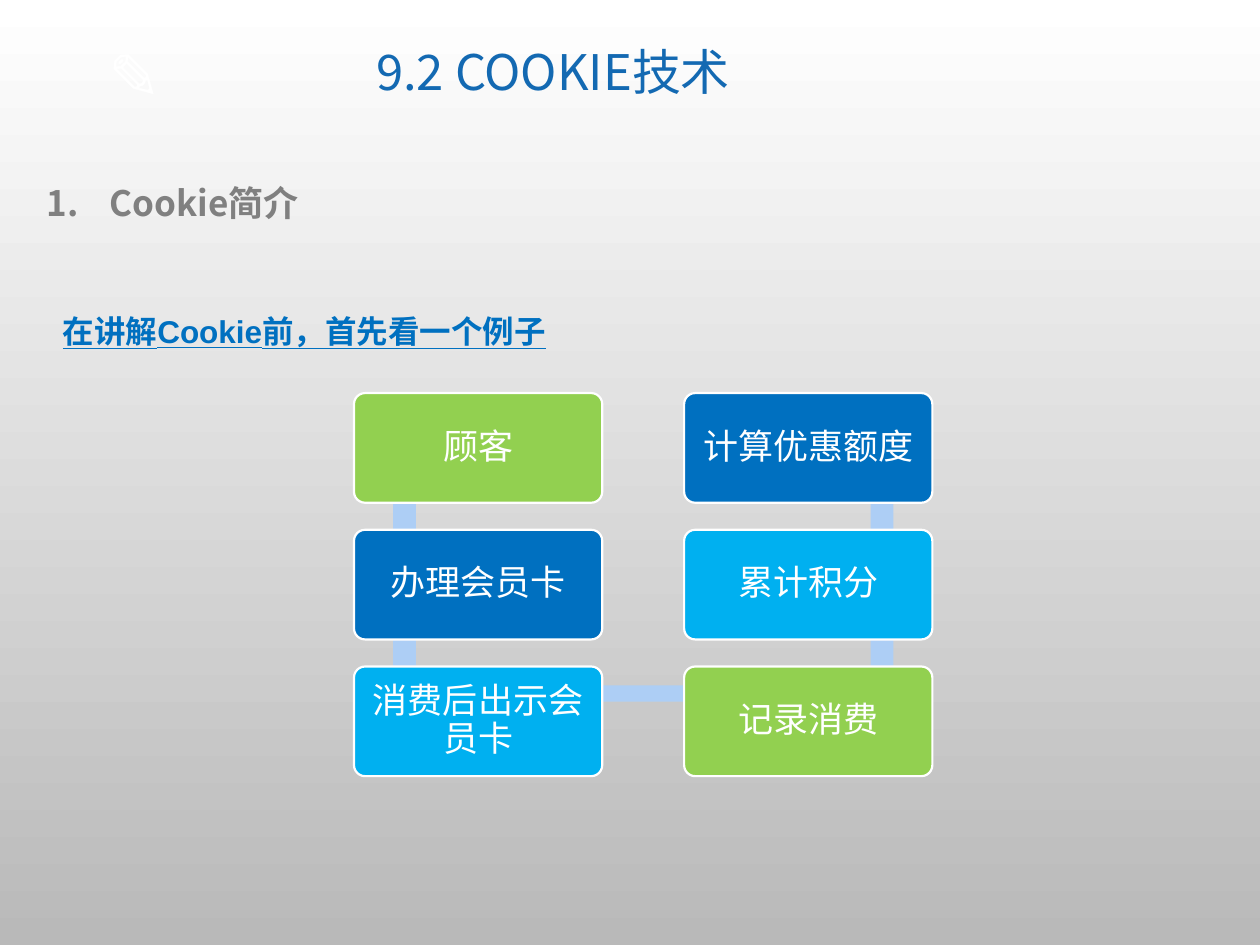
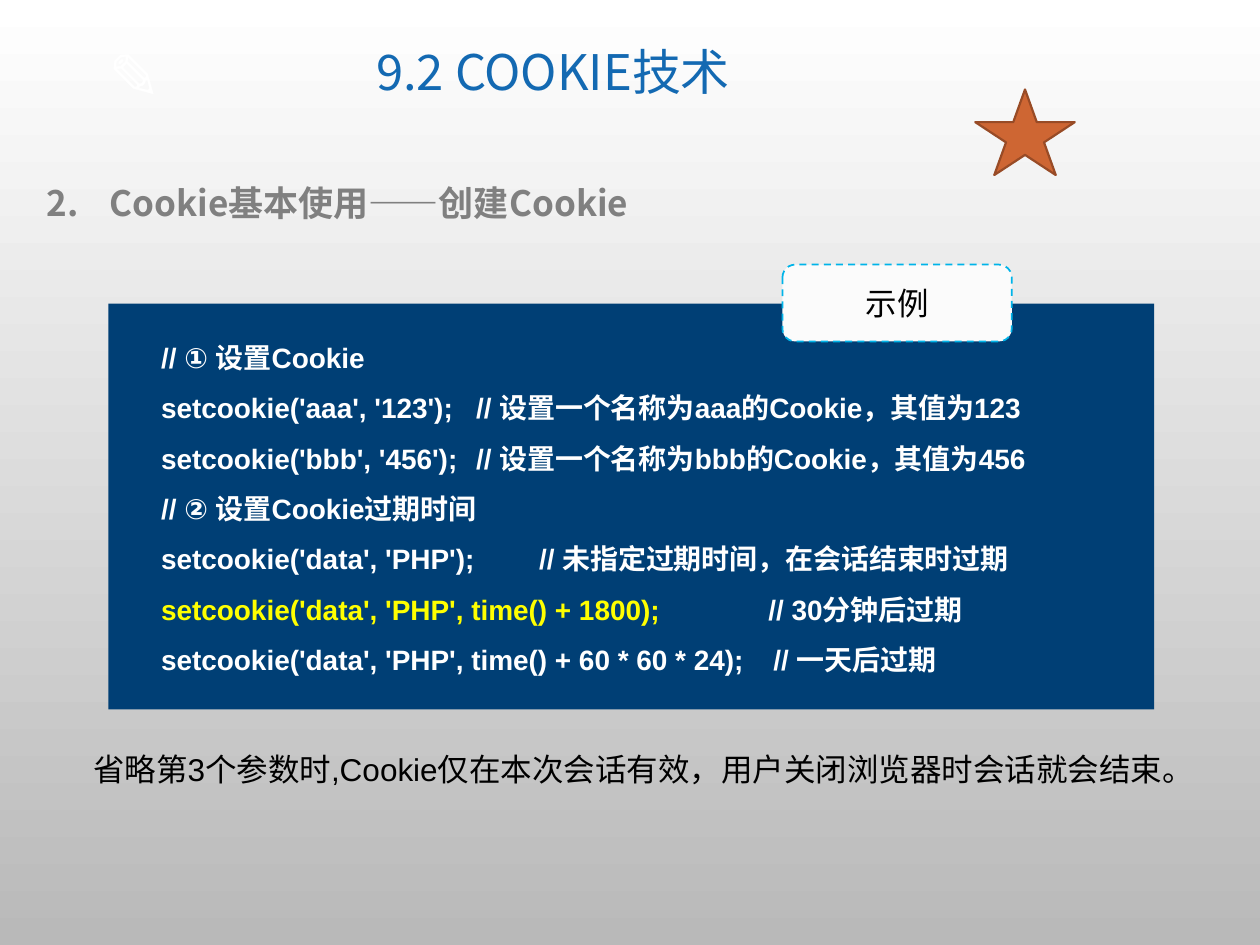
from lxml import etree
from pptx import Presentation
from pptx.dml.color import RGBColor
from pptx.enum import dml, shapes, text
from pptx.oxml import ns
from pptx.util import Inches, Pt

CJK = "Noto Sans CJK SC"
WHITE, BLACK, GRAY = "FFFFFF", "000000", "808080"
TITLE_BLUE, BLUE, SKY, GREEN = "1369B2", "0070C0", "00B0F0", "92D050"
NAVY, YELLOW, LINK_BLUE = "003F75", "FFFF00", "ADCEF5"

CARD_W, CARD_H = 1.97, 0.87
COLUMNS = (2.81, 5.43)
FIRST_ROW, ROW_STEP = 3.12, 1.085
STEPS = (
    (("顾客", GREEN), ("办理会员卡", BLUE), ("消费后出示会员卡", SKY)),
    (("计算优惠额度", BLUE), ("累计积分", SKY), ("记录消费", GREEN)),
)

# Code, comment, tab position of the comment, code colour
CODE_LINES = (
    ("// ① 设置Cookie", "", 0, WHITE),
    ("setcookie('aaa', '123');", "// 设置一个名称为aaa的Cookie，其值为123", 2.5, WHITE),
    ("setcookie('bbb', '456');", "// 设置一个名称为bbb的Cookie，其值为456", 2.5, WHITE),
    ("// ② 设置Cookie过期时间", "", 0, WHITE),
    ("setcookie('data', 'PHP');", "// 未指定过期时间，在会话结束时过期", 3, WHITE),
    ("setcookie('data', 'PHP', time() + 1800);", "// 30分钟后过期", 4.82, YELLOW),
    ("setcookie('data', 'PHP', time() + 60 * 60 * 24);", "// 一天后过期", 4.86, WHITE),
)


def rgb(color):
    return RGBColor.from_string(color)


def inches(box):
    return [Inches(length) for length in box]


def sub(parent, tag, **attributes):
    child = etree.SubElement(parent, ns.qn(tag))
    for name, value in attributes.items():
        child.set(name, str(value))
    return child


def add_run(paragraph, words, size=18, font="Arial", color=BLACK, bold=False, underline=False):
    run = paragraph.add_run()
    run.text = words
    run.font.size = Pt(size)
    run.font.bold = bold
    run.font.underline = underline
    run.font.color.rgb = rgb(color)
    run.font.name = font
    sub(run.font._element, "a:ea", typeface=CJK)


def write(shape, words, center=False, middle=False, wrap=True, spacing=None, inset=None, **font):
    """Put one formatted paragraph into a shape or text box."""
    frame = shape.text_frame
    frame.word_wrap = wrap
    frame.vertical_anchor = text.MSO_ANCHOR.MIDDLE if middle else text.MSO_ANCHOR.TOP
    if inset is not None:
        frame.margin_left = frame.margin_right = Inches(inset)
        frame.margin_top = frame.margin_bottom = Inches(inset)
    paragraph = frame.paragraphs[0]
    paragraph.alignment = text.PP_ALIGN.CENTER if center else text.PP_ALIGN.LEFT
    if spacing:
        paragraph.line_spacing = spacing
    add_run(paragraph, words, **font)
    return paragraph


def add_text(slide, box, words, **style):
    return write(slide.shapes.add_textbox(*inches(box)), words, **style)


def add_block(slide, kind, box, fill, line=None, width=1.25):
    block = slide.shapes.add_shape(kind, *inches(box))
    block.shadow.inherit = False
    block.fill.solid()
    block.fill.fore_color.rgb = rgb(fill)
    if line:
        block.line.color.rgb = rgb(line)
        block.line.width = Pt(width)
    else:
        block.line.fill.background()
    return block


def set_background(prs):
    fill = prs.slide_master.background.fill
    fill.gradient()
    fill.gradient_angle = 270
    for stop, color in zip(fill.gradient_stops, (WHITE, "B9B9B9")):
        stop.color.rgb = rgb(color)


def add_topic_slide(prs, number, topic):
    """Add a slide with the chapter title and a numbered topic heading."""
    slide = prs.slides.add_slide(prs.slide_layouts[6])
    add_text(slide, (0.76, 0.24, 0.86, 0.71), "✎", wrap=False,
             size=36, font=CJK, color=WHITE, bold=True)
    add_text(slide, (1.81, 0.17, 5.16, 0.85), "9.2 COOKIE技术", center=True, middle=True,
             spacing=0.9, size=28, font=CJK, color=TITLE_BLUE)
    heading = add_text(slide, (0.27, 1.39, 9.22, 0.44), topic,
                       size=20, font=CJK, color=GRAY, bold=True)
    properties = heading._p.get_or_add_pPr()
    properties.set("marL", str(Inches(0.5)))
    properties.set("indent", str(Inches(-0.5)))
    sub(properties, "a:buFont", typeface="+mj-lt")
    sub(properties, "a:buAutoNum", type="arabicPeriod", startAt=number)
    return slide


def add_member_card_flow(slide):
    rows = [FIRST_ROW + ROW_STEP * row for row in range(3)]
    rect, rounded = shapes.MSO_SHAPE.RECTANGLE, shapes.MSO_SHAPE.ROUNDED_RECTANGLE
    for link_x in (3.12, 6.91):
        for top in rows[:2]:
            add_block(slide, rect, (link_x, top + 0.22, 0.18, ROW_STEP), LINK_BLUE)
    add_block(slide, rect, (3.22, 5.44, 2.61, 0.13), LINK_BLUE)
    for left, steps in zip(COLUMNS, STEPS):
        for top, (step, fill) in zip(rows, steps):
            card = add_block(slide, rounded, (left, top, CARD_W, CARD_H), fill, WHITE)
            card.adjustments[0] = 0.1
            write(card, step, center=True, middle=True, spacing=0.9, inset=0.08,
                  size=20, font="Calibri", color=WHITE)


def add_code(slide, box):
    frame = slide.shapes.add_textbox(*inches(box)).text_frame
    frame.word_wrap = True
    for index, (code, comment, tab, color) in enumerate(CODE_LINES):
        paragraph = frame.add_paragraph() if index else frame.paragraphs[0]
        paragraph.line_spacing = 1.5
        add_run(paragraph, code, size=16, color=color, bold=True)
        if comment:
            tabs = sub(paragraph._p.get_or_add_pPr(), "a:tabLst")
            sub(tabs, "a:tab", pos=Inches(tab), algn="l")
            add_run(paragraph, "\t" + comment, size=16, color=WHITE, bold=True)


def build_introduction(prs):
    slide = add_topic_slide(prs, 1, "Cookie简介")
    add_text(slide, (0.4, 2.13, 9.19, 0.71), "在讲解Cookie前，首先看一个例子",
             spacing=2, color=BLUE, bold=True, underline=True)
    add_member_card_flow(slide)


def build_cookie_creation(prs):
    slide = add_topic_slide(prs, 2, "Cookie基本使用——创建Cookie")
    add_block(slide, shapes.MSO_SHAPE.RECTANGLE, (0.86, 2.41, 8.3, 3.22), NAVY)
    add_code(slide, (1.18, 2.52, 7.98, 2.93))
    add_text(slide, (0.64, 5.9, 9.04, 0.4),
             "省略第3个参数时,Cookie仅在本次会话有效，用户关闭浏览器时会话就会结束。")
    example_tag = add_block(slide, shapes.MSO_SHAPE.ROUNDED_RECTANGLE,
                            (6.21, 2.1, 1.82, 0.61), "FBFBFB", "00B4E9", 1)
    example_tag.line.dash_style = dml.MSO_LINE.DASH
    write(example_tag, "示例", center=True, middle=True, font="Calibri")
    add_block(slide, shapes.MSO_SHAPE.STAR_5_POINT, (7.74, 0.71, 0.79, 0.68),
              "CE6633", "984B26")


def main():
    prs = Presentation()
    prs.slide_width, prs.slide_height = Inches(10), Inches(7.5)
    set_background(prs)
    build_introduction(prs)
    build_cookie_creation(prs)
    prs.save("out.pptx")


if __name__ == "__main__":
    main()
